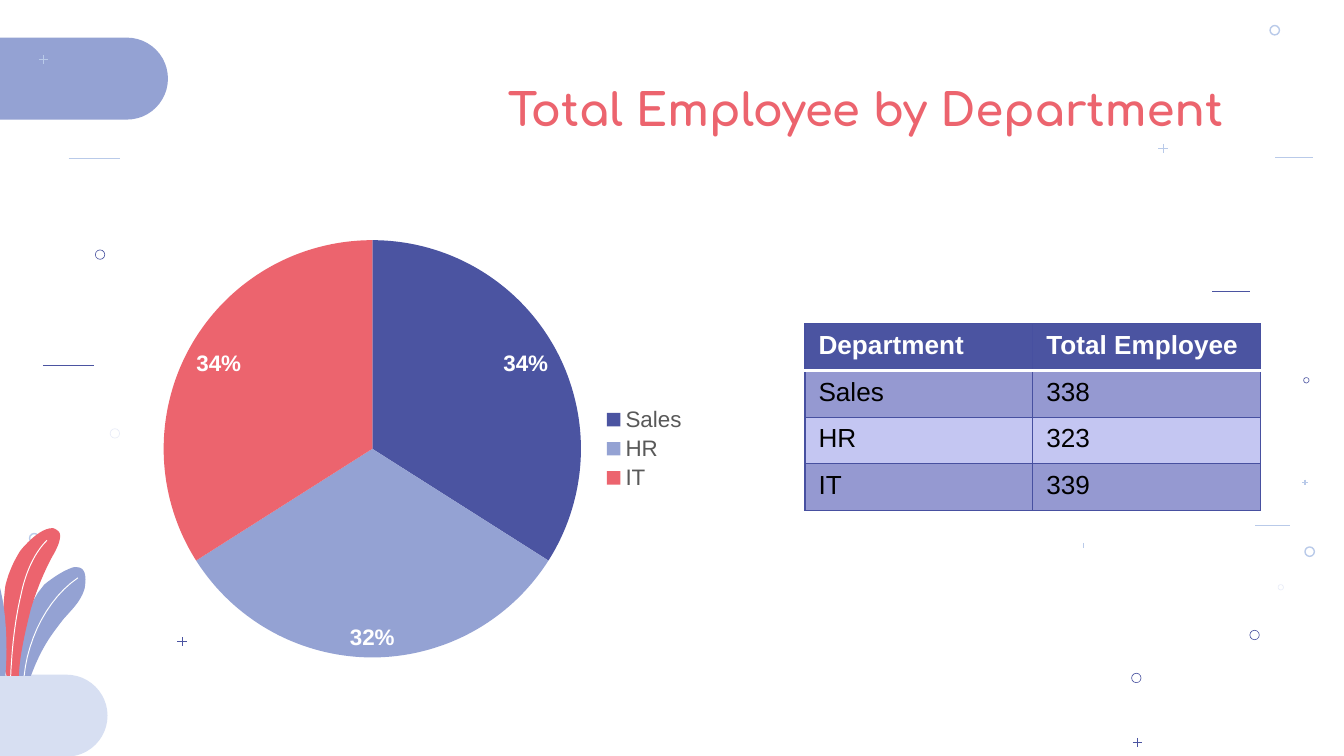
from lxml.etree import SubElement
from pptx import Presentation
from pptx.chart.data import CategoryChartData
from pptx.dml.color import RGBColor
from pptx.enum.chart import XL_CHART_TYPE as ChartType
from pptx.enum.chart import XL_LABEL_POSITION as LabelPosition
from pptx.enum.chart import XL_LEGEND_POSITION as LegendPosition
from pptx.enum.shapes import MSO_CONNECTOR as Connector
from pptx.enum.shapes import MSO_SHAPE as Shape
from pptx.enum.text import MSO_ANCHOR as Anchor
from pptx.enum.text import PP_ALIGN as Align
from pptx.oxml import parse_xml
from pptx.oxml.ns import nsdecls, qn
from pptx.util import Pt

EMU_PER_PX = 9144
INDIGO, PERIWINKLE, CORAL = "4B54A1", "94A2D3", "EC646E"
SKY, MIST, PALE, WHITE = "B9CAE9", "E8ECF8", "D7DFF2", "FFFFFF"
BORDER = "4750A0"
THIN, THICK = 0.33, 0.75

CIRCLES = [
    (970, 281, 4, INDIGO, THIN), (71, 186, 7, INDIGO, THIN),
    (951, 435, 4, MIST, THIN), (82, 319, 7, MIST, THIN),
    (842, 501, 7, INDIGO, THIN), (930, 469, 7, INDIGO, THIN),
    (971, 407, 7, SKY, THICK), (22, 397, 7, SKY, THICK),
    (945, 19, 7, SKY, THICK),
]
DASHES = [
    (51, 118, 38, 0, SKY, THICK), (902, 217, 28, 0, INDIGO, THIN),
    (32, 272, 38, 0, INDIGO, THIN), (934, 391, 26, 0, SKY, THICK),
    (949, 117, 28, 0, SKY, THICK), (806, 404, 0, 4, SKY, THIN),
]
PLUSES = [
    (862, 107, 7, SKY, THICK), (969, 357, 4, SKY, THICK),
    (29, 41, 7, SKY, THICK), (132, 474, 7, INDIGO, THIN),
    (843, 549, 7, INDIGO, THIN),
]
LEAVES = [
    (PERIWINKLE, (101, 30), [
        (109, 30, 108, 40, 107, 46), (104, 56, 97, 62, 91, 69),
        (81, 82, 75, 90, 67, 111), (55, 111), (55, 111, 57, 65, 77, 43),
        (83, 38, 92, 32, 99, 30), (100, 30, 101, 30, 101, 30)]),
    (CORAL, (83, 1), [
        (84, 1, 86, 2, 87, 3), (92, 6, 85, 19, 83, 22),
        (76, 35, 71, 48, 67, 61), (63, 77, 59, 94, 58, 110), (58, 111),
        (49, 111), (44, 101, 46, 58, 48, 44), (50, 35, 54, 26, 59, 18),
        (63, 13, 74, 1, 83, 1)]),
    (PERIWINKLE, (11, 0), [
        (17, 0, 29, 11, 38, 29), (49, 50, 50, 87, 48, 111), (35, 111),
        (27, 102, 0, 30, 7, 4), (8, 1, 9, 0, 11, 0)]),
]
VEINS = [
    ((102, 38), [(80, 53, 65, 82, 62, 111)]),
    ((79, 10), [(69, 20, 63, 35, 60, 49), (55, 70, 53, 90, 52, 111)]),
]
DEPARTMENTS = [("Sales", 34, 338, INDIGO), ("HR", 32, 323, PERIWINKLE),
               ("IT", 34, 339, CORAL)]


def px(*lengths):
    """Turn px lengths into EMU."""
    return [round(length * EMU_PER_PX) for length in lengths]


def paint(target, color):
    """Give a fill or a colour format the hex colour."""
    if hasattr(target, "solid"):
        target.solid()
        target = target.fore_color
    target.rgb = RGBColor.from_string(color)


def apply(target, **values):
    """Set each format value on the target."""
    for name, value in values.items():
        setattr(target, name, value)


def write(font, color, size, name="Arial", bold=False):
    """Format a font."""
    apply(font, name=name, size=Pt(size), bold=bold)
    paint(font.color, color)


def outline(shape, color, width):
    """Draw the shape's line."""
    paint(shape.line.fill, color)
    shape.line.width = Pt(width)


def add_dash(slide, x, y, width, height, color, weight):
    """Add a straight line without shadow."""
    dash = slide.shapes.add_connector(
        Connector.STRAIGHT, *px(x, y, x + width, y + height))
    outline(dash, color, weight)
    SubElement(dash._element.spPr, qn("a:effectLst"))


def add_pill(slide, box, color):
    """Add a fully rounded bar."""
    pill = slide.shapes.add_shape(Shape.ROUNDED_RECTANGLE, *px(*box))
    pill.adjustments[0] = 0.5
    pill.shadow.inherit = False
    paint(pill.fill, color)
    pill.line.fill.background()


def add_sparkles(slide, box):
    """Scatter circles, dashes and pluses over the box."""
    left, top = box[:2]
    for x, y, size, color, weight in CIRCLES:
        circle = slide.shapes.add_shape(
            Shape.OVAL, *px(left + x, top + y, size, size))
        circle.shadow.inherit = False
        circle.fill.background()
        outline(circle, color, weight)
    for x, y, *rest in DASHES:
        add_dash(slide, left + x, top + y, *rest)
    for x, y, size, color, weight in PLUSES:
        middle = size / 2
        add_dash(slide, left + x + middle, top + y, 0, size, color, weight)
        add_dash(slide, left + x, top + y + middle, size, 0, color, weight)


def trace(start, segments, steps=12):
    """Return the points along lines and cubic curves."""
    points = [start]
    for segment in segments:
        if len(segment) == 2:
            points.append(segment)
            continue
        x0, y0 = points[-1]
        xs, ys = (x0, *segment[::2]), (y0, *segment[1::2])
        for step in range(1, steps + 1):
            t = step / steps
            weights = ((1 - t) ** 3, 3 * t * (1 - t) ** 2,
                       3 * t * t * (1 - t), t ** 3)
            points.append(tuple(sum(w * c for w, c in zip(weights, axis))
                                for axis in (xs, ys)))
    return points


def add_plant(slide, box):
    """Draw the leaves and their veins from the box corner."""
    left, top = box[:2]

    def add_outline(start, segments, close):
        """Add one traced freeform."""
        first, *others = [px(left + x, top + y)
                          for x, y in trace(start, segments)]
        builder = slide.shapes.build_freeform(*first)
        builder.add_line_segments(others, close=close)
        form = builder.convert_to_shape()
        form.shadow.inherit = False
        return form

    for color, start, segments in LEAVES:
        leaf = add_outline(start, segments, True)
        paint(leaf.fill, color)
        leaf.line.fill.background()
    for start, segments in VEINS:
        vein = add_outline(start, segments, False)
        vein.fill.background()
        outline(vein, WHITE, 0.52)


def add_pie(slide, box):
    """Chart the share of each department."""
    shares = CategoryChartData()
    shares.categories = [row[0] for row in DEPARTMENTS]
    shares.add_series("Series 1", [row[1] for row in DEPARTMENTS])
    pie = slide.shapes.add_chart(ChartType.PIE, *px(*box), shares).chart
    apply(pie, has_title=False, has_legend=True)
    write(pie.font, "000000", 10)
    apply(pie.legend, position=LegendPosition.RIGHT, include_in_layout=False)
    write(pie.legend.font, "595959", 12)
    plot = pie.plots[0]
    apply(plot, vary_by_categories=True, has_data_labels=True)
    apply(plot.data_labels, show_percentage=True, show_value=False,
          number_format="0%", number_format_is_linked=False,
          position=LabelPosition.INSIDE_END)
    write(plot.data_labels.font, WHITE, 12, bold=True)
    for index, row in enumerate(DEPARTMENTS):
        paint(plot.series[0].points[index].format.fill, row[3])


def add_borders(cell, **edges):
    """Draw cell borders given as colour and width per edge."""
    properties = cell._tc.get_or_add_tcPr()
    for index, edge in enumerate("LRTB"):
        color, width = edges.get(edge, (BORDER, 0.75))
        properties.insert(index, parse_xml(
            f'<a:ln{edge} {nsdecls("a")} w="{Pt(width)}"><a:solidFill>'
            f'<a:srgbClr val="{color}"/></a:solidFill></a:ln{edge}>'))


def add_headcount(slide, box):
    """Tabulate the employees of each department."""
    rows = [("Department", "Total Employee")]
    rows += [(name, str(total)) for name, _, total, _ in DEPARTMENTS]
    table = slide.shapes.add_table(len(rows), 2, *px(*box)).table
    table.horz_banding = False
    divider = (WHITE, 2)
    edges = {0: {"B": divider}, 1: {"T": divider}}
    for r, row in enumerate(rows):
        heading = r == 0
        band = INDIGO if heading else ("C4C6F2", "9599D1")[r % 2]
        for c, text in enumerate(row):
            cell = table.cell(r, c)
            cell.text = text
            write(cell.text_frame.paragraphs[0].runs[0].font,
                  WHITE if heading else "000000", 14, bold=heading)
            paint(cell.fill, band)
            add_borders(cell, **edges.get(r, {}))


def add_title(slide, box):
    """Place and format the title."""
    title = slide.shapes.title
    apply(title, **dict(zip(("left", "top", "width", "height"), px(*box))))
    frame = title.text_frame
    frame.text = "Total Employee by Department"
    margins = (f"margin_{side}" for side in ("left", "top", "right", "bottom"))
    apply(frame, vertical_anchor=Anchor.MIDDLE, word_wrap=True,
          **dict.fromkeys(margins, px(10)[0]))
    frame.paragraphs[0].alignment = Align.RIGHT
    write(frame.paragraphs[0].runs[0].font, CORAL, 24, "Comfortaa", True)


def main():
    """Build and save the slide."""
    deck = Presentation()
    deck.slide_width, deck.slide_height = px(1000, 562.5)
    slide = deck.slides.add_slide(deck.slide_layouts[5])
    add_pill(slide, (-82, 28, 207, 61), PERIWINKLE)
    add_pill(slide, (-127, 502, 207, 61), PALE)
    add_sparkles(slide, (0, 0, 1000, 562))
    add_plant(slide, (-44, 392, 108, 111))
    add_pie(slide, (108, 156, 413, 356))
    add_headcount(slide, (599, 241, 339, 139))
    add_title(slide, (80, 49, 840, 63))
    deck.save("out.pptx")


if __name__ == "__main__":
    main()
